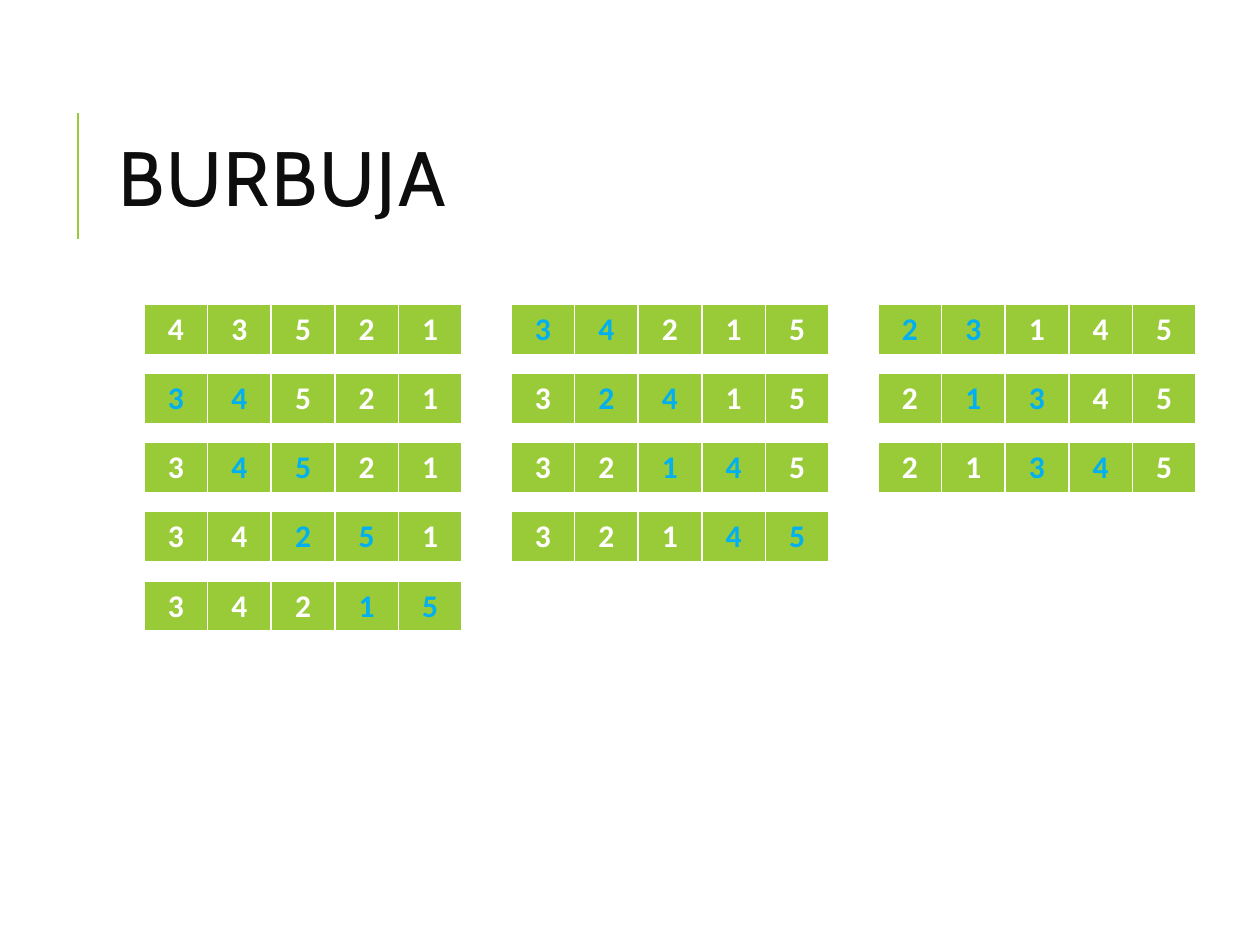
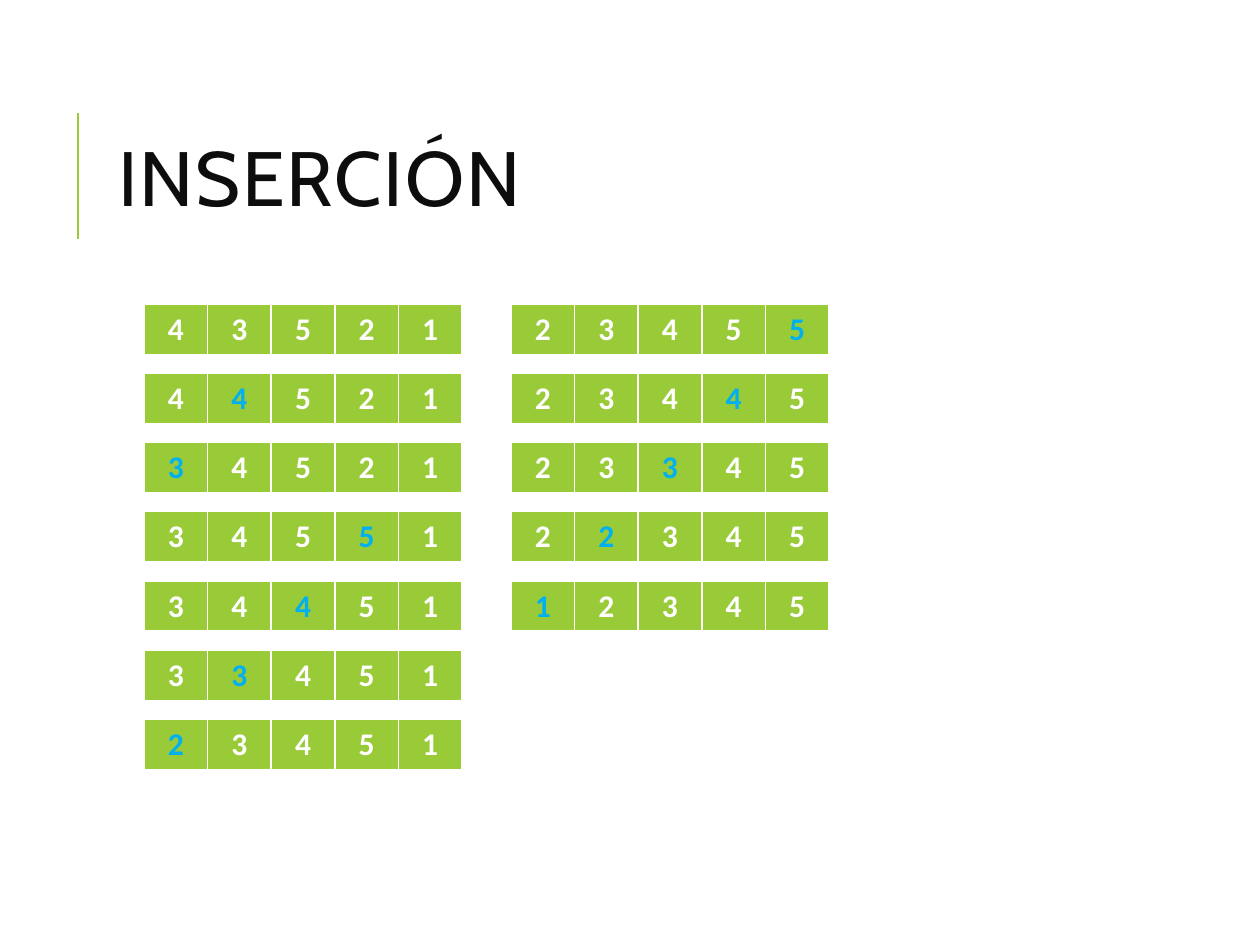
import pptx
import pptx.dml.color
import pptx.enum.shapes
import pptx.enum.text
import pptx.oxml.ns
import pptx.util
from lxml import etree

# Each step: the list's digits, and the positions just moved.
SORTS = [
    ("BURBUJA", [
        [("43521", ()), ("34521", (0, 1)), ("34521", (1, 2)),
         ("34251", (2, 3)), ("34215", (3, 4))],
        [("34215", (0, 1)), ("32415", (1, 2)), ("32145", (2, 3)),
         ("32145", (3, 4))],
        [("23145", (0, 1)), ("21345", (1, 2)), ("21345", (2, 3))],
    ]),
    ("INSERCIÓN", [
        [("43521", ()), ("44521", (1,)), ("34521", (0,)), ("34551", (3,)),
         ("34451", (2,)), ("33451", (1,)), ("23451", (0,))],
        [("23455", (4,)), ("23445", (3,)), ("23345", (2,)),
         ("22345", (1,)), ("12345", (0,))],
    ]),
]

GREEN = pptx.dml.color.RGBColor(0x99, 0xCB, 0x38)
BLUE = pptx.dml.color.RGBColor(0x00, 0xB0, 0xF0)
WHITE = pptx.dml.color.RGBColor(0xFF, 0xFF, 0xFF)
INK = pptx.dml.color.RGBColor(0x0D, 0x0D, 0x0D)
TITLE_FONT, DIGIT_FONT = "Cabin", "Calibri"

SLIDE_W, SLIDE_H = 1260, 945
TITLE_BOX = (106, 81, 1004, 207)
RULE_X, RULE_TOP, RULE_BOTTOM = 78, 113, 239
PASS_LEFT, PASS_PITCH = 144, 367
STEP_TOP, STEP_PITCH = 304, 69.2
STEP_W, STEP_H = 318, 52
BORDERS = {"lnL": 1, "lnR": 1, "lnT": 1, "lnB": 3}


def px(length):
    return pptx.util.Emu(round(length * 914400 / 126))


def style(run, font, size, color, bold=False):
    run.font.name = font
    run.font.size = pptx.util.Pt(size)
    run.font.color.rgb = color
    run.font.bold = bold


def add_title(slide, title):
    """Add the heading and the green rule to its left."""
    rule = slide.shapes.add_connector(
        pptx.enum.shapes.MSO_CONNECTOR.STRAIGHT,
        px(RULE_X), px(RULE_BOTTOM), px(RULE_X), px(RULE_TOP))
    rule.line.color.rgb = GREEN
    rule.line.width = pptx.util.Pt(1.5)
    etree.SubElement(rule._element.spPr, pptx.oxml.ns.qn("a:effectLst"))

    frame = slide.shapes.add_textbox(*map(px, TITLE_BOX)).text_frame
    frame.word_wrap = True
    frame.vertical_anchor = pptx.enum.text.MSO_ANCHOR.MIDDLE
    heading = frame.paragraphs[0]
    heading.line_spacing = 0.8
    run = heading.add_run()
    run.text = title
    style(run, TITLE_FONT, 44, INK)
    run.font._element.set("spc", "100")


def add_borders(cell):
    properties = cell._tc.get_or_add_tcPr()
    for side, points in BORDERS.items():
        line = etree.SubElement(properties, pptx.oxml.ns.qn(f"a:{side}"),
                                w=str(pptx.util.Pt(points)))
        fill = etree.SubElement(line, pptx.oxml.ns.qn("a:solidFill"))
        etree.SubElement(fill, pptx.oxml.ns.qn("a:srgbClr"), val=str(WHITE))


def add_step(slide, left, top, digits, moved):
    """Add one state of the list as a one-row table."""
    table = slide.shapes.add_table(
        1, len(digits), px(left), px(top), px(STEP_W), px(STEP_H)).table
    table.horz_banding = False
    for position, digit in enumerate(digits):
        cell = table.cell(0, position)
        add_borders(cell)
        cell.fill.solid()
        cell.fill.fore_color.rgb = GREEN
        paragraph = cell.text_frame.paragraphs[0]
        paragraph.alignment = pptx.enum.text.PP_ALIGN.CENTER
        run = paragraph.add_run()
        run.text = digit
        style(run, DIGIT_FONT, 18, BLUE if position in moved else WHITE, True)


def main():
    deck = pptx.Presentation()
    deck.slide_width, deck.slide_height = px(SLIDE_W), px(SLIDE_H)
    for title, passes in SORTS:
        slide = deck.slides.add_slide(deck.slide_layouts[6])
        add_title(slide, title)
        for column, steps in enumerate(passes):
            for row, (digits, moved) in enumerate(steps):
                add_step(slide, PASS_LEFT + column * PASS_PITCH,
                         STEP_TOP + row * STEP_PITCH, digits, moved)
    deck.save("out.pptx")


if __name__ == "__main__":
    main()
